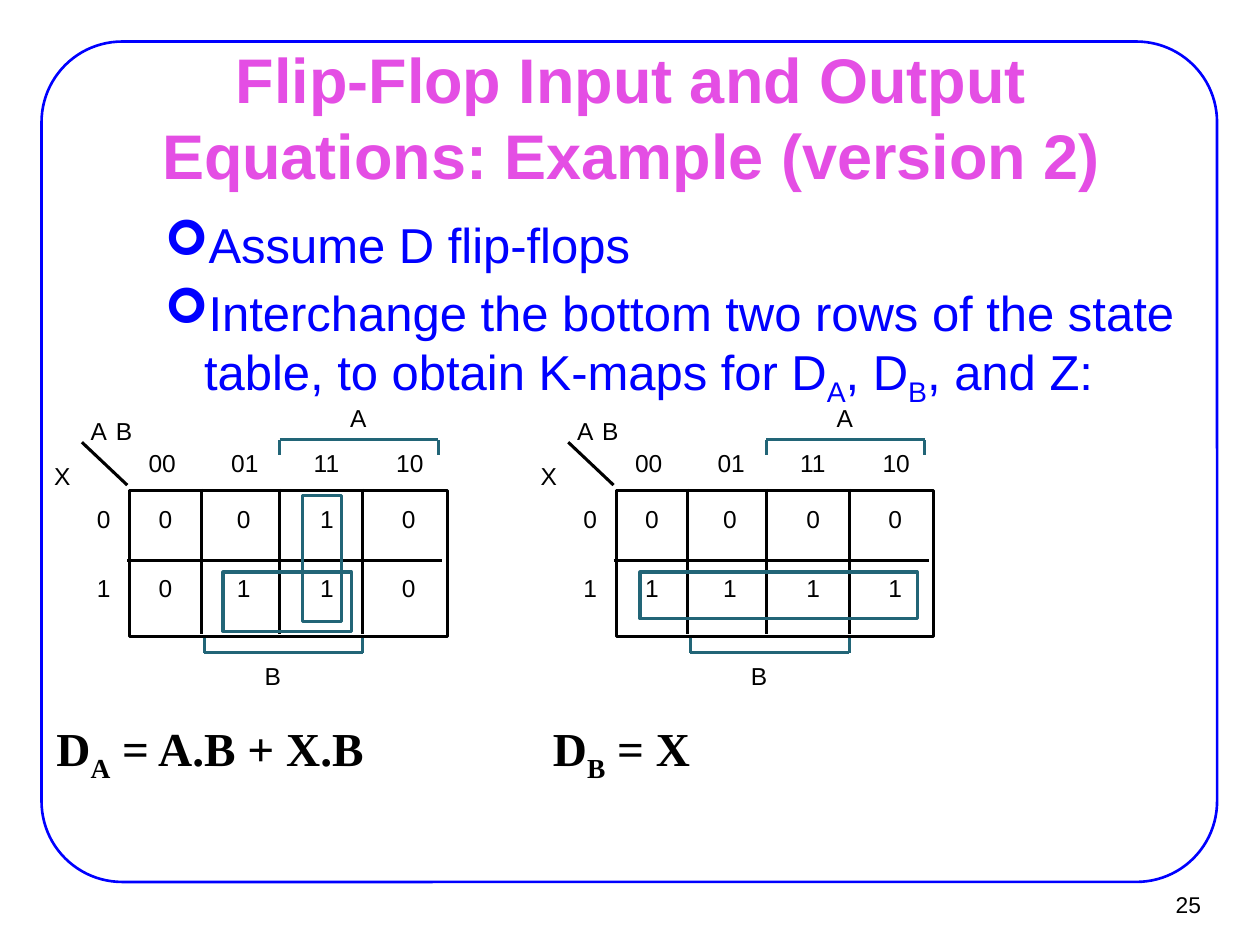
"""Build the slide on flip-flop input equations with two Karnaugh maps."""
import pptx
import pptx.dml.color
import pptx.enum.shapes
import pptx.enum.text
import pptx.oxml
import pptx.oxml.ns
import pptx.util

Inches = pptx.util.Inches
Pt = pptx.util.Pt
RGBColor = pptx.dml.color.RGBColor
SHAPES = pptx.enum.shapes.MSO_SHAPE
ANCHOR = pptx.enum.text.MSO_ANCHOR
AUTO_SIZE = pptx.enum.text.MSO_AUTO_SIZE
ALIGN = pptx.enum.text.PP_ALIGN

COLORS = {"title": "E44EE4", "blue": "0000FF", "black": "000000", "teal": "226577"}
FONTS = {
    "title": {"name": "Arial", "size": Pt(36), "bold": True},
    "body": {"name": "Arial", "size": Pt(28)},
    "label": {"name": "Arial", "size": Pt(14)},
    "number": {"name": "Arial", "size": Pt(13)},
    "equation": {"name": "Times New Roman", "size": Pt(27), "bold": True},
}
FRAMES = {
    "title": {"margin_left": Inches(0.11), "margin_right": Inches(0.11),
              "margin_top": Inches(0.06), "margin_bottom": Inches(0.06),
              "vertical_anchor": ANCHOR.MIDDLE, "word_wrap": True,
              "auto_size": AUTO_SIZE.NONE},
    "body": {"margin_left": Inches(0.11), "margin_right": Inches(0.11),
             "margin_top": Inches(0.06), "margin_bottom": Inches(0.06),
             "word_wrap": True},
    "label": {"margin_left": 0, "margin_right": 0, "margin_top": 0, "margin_bottom": 0,
              "word_wrap": False, "auto_size": AUTO_SIZE.SHAPE_TO_FIT_TEXT},
    "number": {"vertical_anchor": ANCHOR.MIDDLE, "word_wrap": False},
    "equation": {"word_wrap": True, "auto_size": AUTO_SIZE.SHAPE_TO_FIT_TEXT},
}

presentation = pptx.Presentation()
presentation.slide_width = Inches(10)
presentation.slide_height = Inches(7.5)
slide = presentation.slides.add_slide(presentation.slide_layouts[5])


def write(shape, style, color, paragraphs):
    """Fill a shape with paragraphs of runs, every second run a subscript."""
    text_frame = shape.text_frame
    for name, value in FRAMES[style].items():
        setattr(text_frame, name, value)
    for index, runs in enumerate(paragraphs):
        paragraph = text_frame.add_paragraph() if index else text_frame.paragraphs[0]
        for position, text in enumerate(runs):
            run = paragraph.add_run()
            run.text = text
            for name, value in FONTS[style].items():
                setattr(run.font, name, value)
            run.font.color.rgb = RGBColor.from_string(COLORS[color])
            if position % 2:
                run.font._element.set("baseline", "-25000")
    return text_frame.paragraphs


def draw(kind, color, width, left, top, right, bottom):
    """Draw a line between two points, or an unfilled shape between two corners."""
    if kind == "line":
        shape = slide.shapes.add_connector(
            pptx.enum.shapes.MSO_CONNECTOR.STRAIGHT,
            Inches(left), Inches(top), Inches(right), Inches(bottom))
        shape._element.spPr.append(pptx.oxml.parse_xml(
            "<a:effectLst %s/>" % pptx.oxml.ns.nsdecls("a")))
    else:
        shape = slide.shapes.add_shape(
            kind, Inches(left), Inches(top), Inches(right - left), Inches(bottom - top))
        shape.shadow.inherit = False
        shape.fill.background()
    shape.line.color.rgb = RGBColor.from_string(COLORS[color])
    shape.line.width = Pt(width)
    return shape


frame = draw(SHAPES.ROUNDED_RECTANGLE, "blue", 1.5, 0.33, 0.33, 9.66, 7)
frame.adjustments[0] = 0.096

number = slide.shapes.add_textbox(Inches(9.02), Inches(6.99), Inches(0.61), Inches(0.37))
write(number, "number", "black", [["25"]])[0].alignment = ALIGN.RIGHT

title = slide.shapes.title
for name, value in {"left": 0.76, "top": 0.68, "width": 8.5, "height": 0.49}.items():
    setattr(title, name, Inches(value))
write(title, "title", "title", [
    ["Flip-Flop Input and Output Equations: Example (version 2)"]])[0].alignment = ALIGN.CENTER

maps = [
    {"left": 0, "rows": ["0010", "0110"], "equation": ["D", "A", " = A.B + X.B"],
     "equation_at": (0.35, 3.7),
     "loops": [(2.4, 3.93, 2.71, 4.93), (1.77, 4.54, 2.79, 5.01)]},
    {"left": 3.86, "rows": ["0000", "1111"], "equation": ["D", "B", " = X"],
     "equation_at": (4.29, 5.43), "loops": [(1.22, 4.54, 3.42, 4.91)]},
]
grid_lines = [(1.01, 4.45, 3.51, 4.45), (1.01, 3.85, 0.65, 3.51)]
grid_lines += [(x, 3.88, x, 5.03) for x in (1.6, 2.22, 2.88)]
brackets = [(1.62, 2.88, 5.06, 5.18), (2.22, 3.48, 3.61, 3.49)]
axis_labels = [("A", 0.72, 3.3), ("B", 0.92, 3.3), ("A", 2.78, 3.2),
               ("B", 2.1, 5.25), ("X", 0.43, 3.66)]
axis_labels += [(code, 1.18 + 0.655 * column, 3.56)
                for column, code in enumerate(["00", "01", "11", "10"])]
row_tops = [4, 4.55]
column_lefts = [1.26, 1.88, 2.54, 3.19]

for kmap in maps:
    offset = kmap["left"]
    draw(SHAPES.RECTANGLE, "black", 1.75, offset + 1.03, 3.89, offset + 3.55, 5.05)
    for x1, y1, x2, y2 in grid_lines:
        draw("line", "black", 1.75, offset + x1, y1, offset + x2, y2)
    for x1, x2, tip, base in brackets:
        for start, y1, end in [(x1, tip, x1), (x1, base, x2), (x2, tip, x2)]:
            draw("line", "teal", 1.75, offset + start, y1, offset + end, base)
    for x1, y1, x2, y2 in kmap["loops"]:
        draw(SHAPES.RECTANGLE, "teal", 1.75, offset + x1, y1, offset + x2, y2)

    labels = list(axis_labels)
    for row, (top, values) in enumerate(zip(row_tops, kmap["rows"])):
        labels.append((str(row), 0.77, top))
        labels += [(value, left, top) for value, left in zip(values, column_lefts)]
    for text, left, top in labels:
        label = slide.shapes.add_textbox(
            Inches(offset + left), Inches(top),
            Inches(0.27 if len(text) == 2 else 0.17), Inches(0.23))
        write(label, "label", "black", [[text]])

    left, width = kmap["equation_at"]
    equation = slide.shapes.add_textbox(
        Inches(left), Inches(5.66), Inches(width), Inches(0.55))
    write(equation, "equation", "black", [kmap["equation"]])

body = slide.shapes.add_textbox(Inches(0.7), Inches(1.64), Inches(8.8), Inches(1.95))
body_paragraphs = write(body, "body", "blue", [
    ["Assume D flip-flops"],
    ["Interchange the bottom two rows of the state table, to obtain K-maps for D",
     "A", ", D", "B", ", and Z:"],
])
for index, paragraph in enumerate(body_paragraphs):
    paragraph.space_before = Pt(5.6 if index else 0)
    properties = paragraph._p.get_or_add_pPr()
    properties.set("marL", str(Inches(0.81)))
    properties.set("indent", str(Inches(-0.31)))
    for bullet in ['buFont %s typeface="Wingdings"', 'buChar %s char="➢"']:
        properties.append(pptx.oxml.parse_xml(
            "<a:%s/>" % (bullet % pptx.oxml.ns.nsdecls("a"))))

presentation.save("out.pptx")
